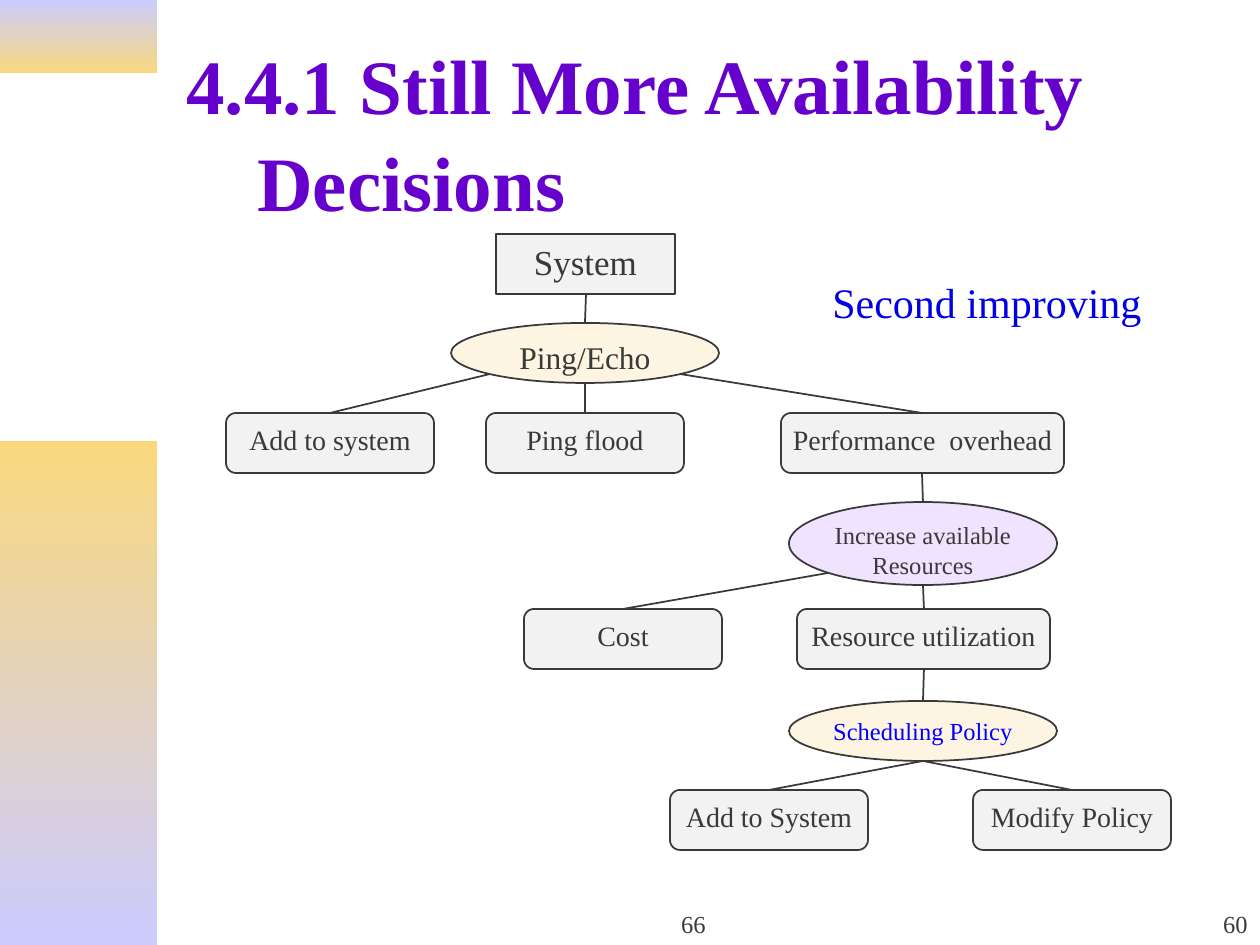
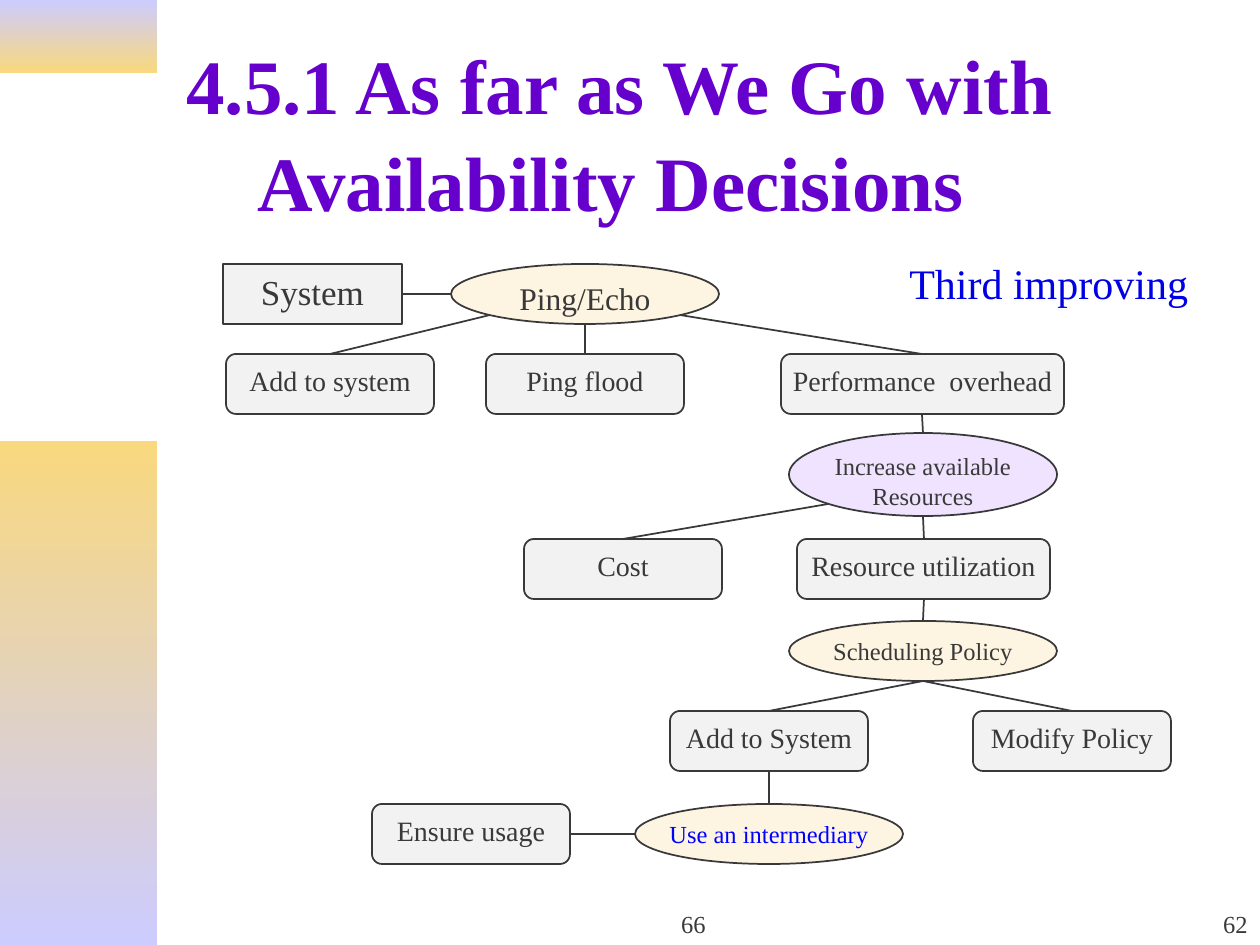
import pptx
import pptx.dml.color
import pptx.enum.shapes
import pptx.enum.text
import pptx.oxml.ns
import pptx.util
import lxml.etree

RGBColor = pptx.dml.color.RGBColor
SHAPE = pptx.enum.shapes.MSO_SHAPE
ALIGN = pptx.enum.text.PP_ALIGN
ANCHOR = pptx.enum.text.MSO_ANCHOR

INK = RGBColor(0x39, 0x39, 0x39)
TITLE_PURPLE = RGBColor(0x66, 0x00, 0xCC)
CAPTION_BLUE = RGBColor(0x00, 0x00, 0xE5)
NEW_BLUE = RGBColor(0x00, 0x00, 0xFF)
BOX_GRAY = RGBColor(0xF2, 0xF2, 0xF2)
TACTIC_CREAM = RGBColor(0xFB, 0xE9, 0xC0)
TACTIC_LILAC = RGBColor(0xE0, 0xC2, 0xFF)
BAND_LAVENDER = RGBColor(0xCC, 0xCC, 0xFF)
BAND_GOLD = RGBColor(0xF9, 0xD8, 0x7E)

FONT = "Times New Roman"
PX_PER_INCH = 126
BOX_HEIGHT = 60
TITLE_INDENT = 71

# Places on a node's frame where connectors attach, as fractions of its size
TOP, BOTTOM, LEFT, RIGHT = (0.5, 0), (0.5, 1), (0, 0.5), (1, 0.5)
LOWER_LEFT, LOWER_RIGHT = (0.146, 0.854), (0.854, 0.854)


def px(*lengths):
    """Turn pixel lengths into a list of EMU."""
    return [pptx.util.Emu(round(length * 914400 / PX_PER_INCH)) for length in lengths]


def write_text(shape, text, size, color=INK, bold=False, align=ALIGN.LEFT,
               anchor=ANCHOR.TOP, wrap=False, hanging=0, line_spacing=None):
    frame = shape.text_frame
    frame.text = text
    frame.word_wrap = wrap
    frame.vertical_anchor = anchor
    for paragraph in frame.paragraphs:
        paragraph.alignment = align
        if line_spacing:
            paragraph.line_spacing = line_spacing
        if hanging:
            indent = px(hanging)[0]
            properties = paragraph._p.get_or_add_pPr()
            properties.set("marL", str(indent))
            properties.set("indent", str(-indent))
        for run in paragraph.runs:
            run.font.name = FONT
            run.font.size = pptx.util.Pt(size)
            run.font.bold = bold
            run.font.color.rgb = color


# Parts of the decision tree on both slides: name: (label, left, width, row)
BOXES = {
    "add to system": ("Add to system", 226, 208, 1),
    "ping flood": ("Ping flood", 486, 198, 1),
    "overhead": ("Performance  overhead", 781, 283, 1),
    "cost": ("Cost", 524, 198, 3),
    "utilization": ("Resource utilization", 797, 253, 3),
    "add policy": ("Add to System", 670, 198, 5),
    "modify policy": ("Modify Policy", 973, 198, 5),
}
TACTICS = {
    "ping": ("Ping/Echo", 451, 268, 0),
    "increase": ("Increase available\nResources", 789, 268, 2),
    "scheduling": ("Scheduling Policy", 789, 268, 4),
}
LINKS = [
    ("ping", LOWER_LEFT, "add to system", TOP),
    ("ping", BOTTOM, "ping flood", TOP),
    ("ping", LOWER_RIGHT, "overhead", TOP),
    ("overhead", BOTTOM, "increase", TOP),
    ("increase", LOWER_LEFT, "cost", TOP),
    ("increase", BOTTOM, "utilization", TOP),
    ("utilization", BOTTOM, "scheduling", TOP),
    ("scheduling", BOTTOM, "add policy", TOP),
    ("scheduling", BOTTOM, "modify policy", TOP),
]

# What differs between the slides; the last row holds the added nodes
SLIDES = [
    dict(title="4.4.1 Still More Availability Decisions", number="60",
         caption=("Second improving", 820, 270, 334), newest="scheduling",
         system=(496, 234), rows=[323, 413, 502, 609, 701, 790],
         boxes={}, tactics={}, links=[("system", BOTTOM, "ping", TOP)]),
    dict(title="4.5.1 As far as We Go with Availability Decisions", number="62",
         caption=("Third improving", 897, 251, 304), newest="intermediary",
         system=(223, 264), rows=[264, 354, 433, 539, 621, 711, 804],
         boxes={"ensure": ("Ensure usage", 372, 198, 6)},
         tactics={"intermediary": ("Use an intermediary", 635, 268, 6)},
         links=[("system", RIGHT, "ping", LEFT),
                ("add policy", BOTTOM, "intermediary", TOP),
                ("intermediary", LEFT, "ensure", RIGHT)]),
]

presentation = pptx.Presentation()
presentation.slide_width, presentation.slide_height = px(1260, 945)

for content in SLIDES:
    slide = presentation.slides.add_slide(presentation.slide_layouts[6])

    # Gradient bands on the left edge
    for top, height, colors in [(0, 73, (BAND_LAVENDER, BAND_GOLD)),
                                (441, 504, (BAND_GOLD, BAND_LAVENDER))]:
        band = slide.shapes.add_shape(SHAPE.RECTANGLE, *px(0, top, 157, height))
        band.shadow.inherit = False
        band.line.fill.background()
        band.fill.gradient()
        band.fill.gradient_angle = 270
        for stop, color in zip(band.fill.gradient_stops, colors):
            stop.color.rgb = color

    # Title and footers
    title = slide.shapes.add_textbox(*px(174, 47, 1082, 166))
    write_text(title, content["title"], size=44, color=TITLE_PURPLE, bold=True,
               anchor=ANCHOR.MIDDLE, wrap=True, hanging=TITLE_INDENT, line_spacing=1.05)
    for text, left, width, align in [("66", 494, 399, ALIGN.CENTER),
                                     (content["number"], 998, 262, ALIGN.RIGHT)]:
        footer = slide.shapes.add_textbox(*px(left, 882, width, 63))
        write_text(footer, text, size=14, align=align, anchor=ANCHOR.BOTTOM, wrap=True)

    # Nodes of the tree: kind, label, frame, fill and text size
    nodes = {"system": (SHAPE.RECTANGLE, "System", (*content["system"], 179, BOX_HEIGHT),
                        BOX_GRAY, 20)}
    for name, (label, left, width, row) in (BOXES | content["boxes"]).items():
        frame = (left, content["rows"][row], width, BOX_HEIGHT)
        nodes[name] = (SHAPE.ROUNDED_RECTANGLE, label, frame, BOX_GRAY, 16)
    for name, (label, left, width, row) in (TACTICS | content["tactics"]).items():
        height = 83 if name == "increase" else BOX_HEIGHT
        frame = (left, content["rows"][row], width, height)
        fill = TACTIC_LILAC if name == "increase" else TACTIC_CREAM
        nodes[name] = (SHAPE.OVAL, label, frame, fill, 18 if name == "ping" else 14)

    for name, (kind, label, frame, fill, size) in nodes.items():
        node = slide.shapes.add_shape(kind, *px(*frame))
        node.shadow.inherit = False
        node.fill.solid()
        node.fill.fore_color.rgb = fill
        node.line.color.rgb = INK
        node.line.width = pptx.util.Pt(1)
        if kind == SHAPE.OVAL:
            fill_color = node._element.spPr.find(".//" + pptx.oxml.ns.qn("a:srgbClr"))
            alpha = lxml.etree.SubElement(fill_color, pptx.oxml.ns.qn("a:alpha"))
            alpha.set("val", "46000")
        color = NEW_BLUE if name == content["newest"] else INK
        write_text(node, label, size=size, color=color, align=ALIGN.CENTER)

    # Connectors between the nodes
    for start, start_site, end, end_site in LINKS + content["links"]:
        ends = []
        for name, (across, down) in [(start, start_site), (end, end_site)]:
            left, top, width, height = nodes[name][2]
            ends += [round(left + across * width), round(top + down * height)]
        link = slide.shapes.add_connector(pptx.enum.shapes.MSO_CONNECTOR.STRAIGHT, *px(*ends))
        link.line.color.rgb = INK
        link.line.width = pptx.util.Pt(1)
        lxml.etree.SubElement(link._element.spPr, pptx.oxml.ns.qn("a:effectLst"))

    # Caption
    text, left, top, width = content["caption"]
    caption = slide.shapes.add_textbox(*px(left, top, width, 63))
    write_text(caption, text, size=24, color=CAPTION_BLUE)
    caption.text_frame.auto_size = pptx.enum.text.MSO_AUTO_SIZE.SHAPE_TO_FIT_TEXT

presentation.save("out.pptx")
